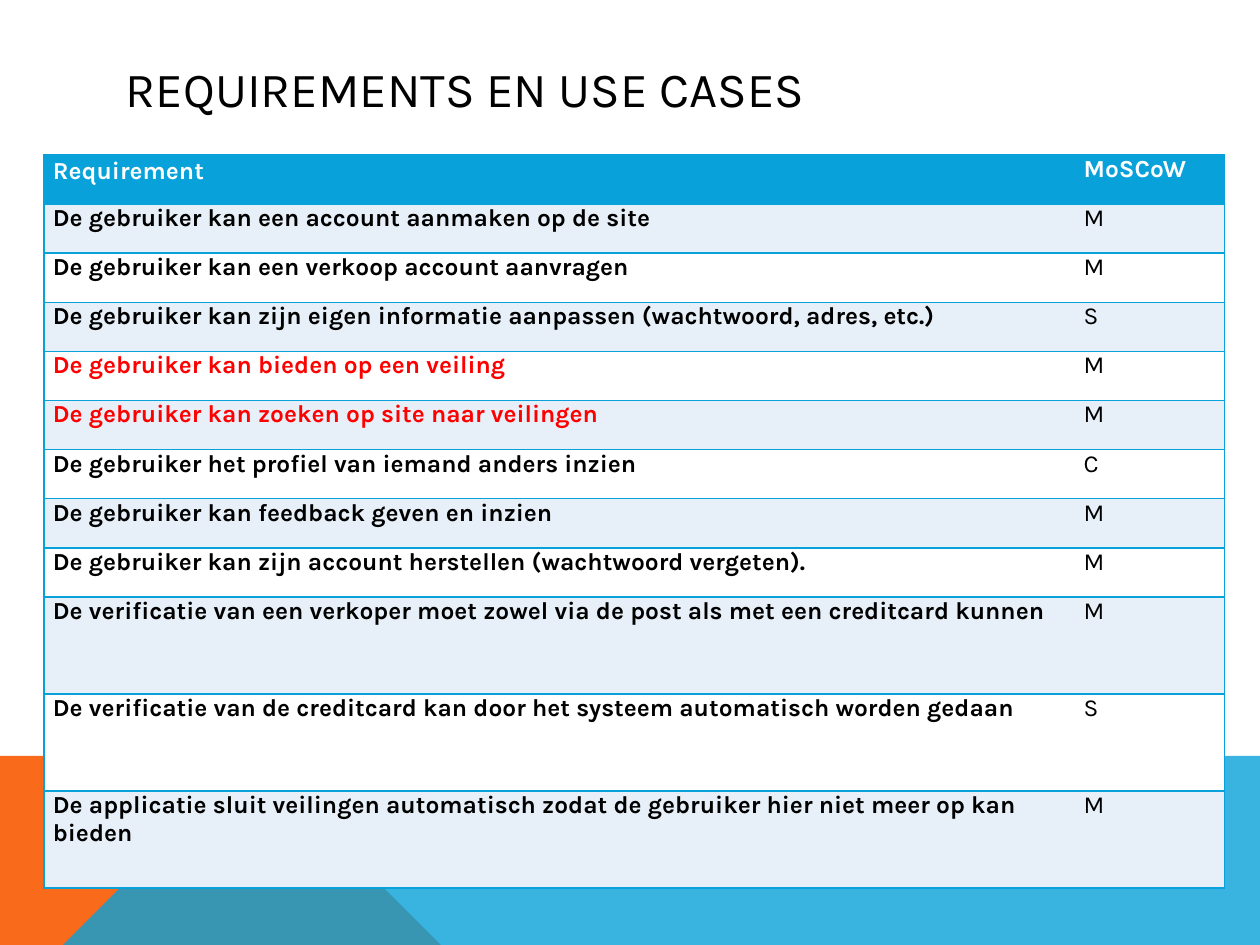
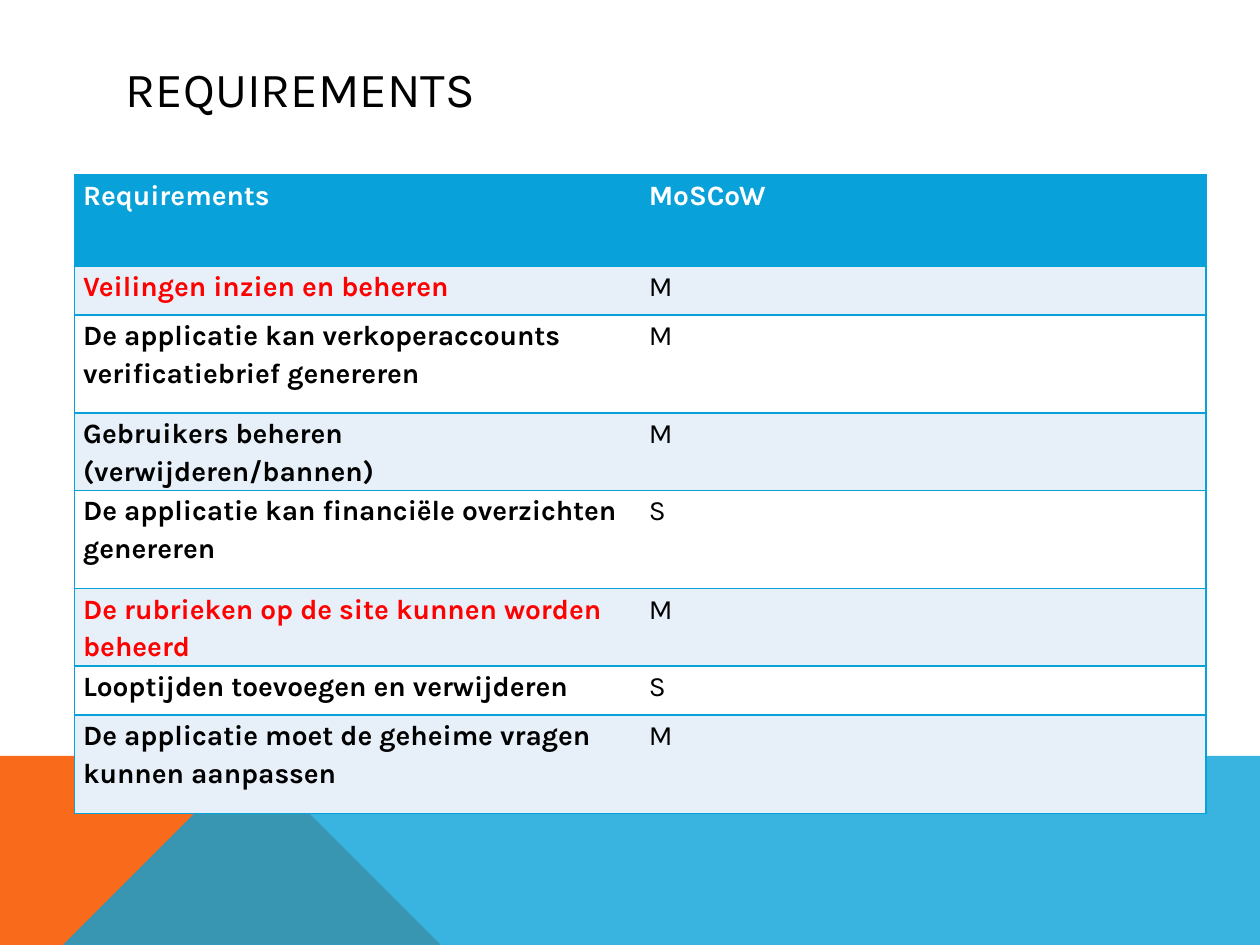
import pptx
import pptx.dml.color
import pptx.enum.text
import pptx.oxml
import pptx.oxml.ns
import pptx.util
from pptx.util import Inches

COLORS = {
    "blue": "08A1D9", "orange": "F96A1B", "pale": "E7F0F8",
    "white": "FFFFFF", "black": "000000", "red": "FF0000",
}
FONT = "Karla"

# Content: requirement, priority, text colour of the requirement
SLIDES = [
    {
        "title": "REQUIREMENTS EN USE CASES",
        "header": ("Requirement", "MoSCoW"),
        "rows": [
            ("De gebruiker kan een account aanmaken op de site", "M", "black"),
            ("De gebruiker kan een verkoop account aanvragen", "M", "black"),
            ("De gebruiker kan zijn eigen informatie aanpassen (wachtwoord, adres, etc.)", "S", "black"),
            ("De gebruiker kan bieden op een veiling", "M", "red"),
            ("De gebruiker kan zoeken op site naar veilingen", "M", "red"),
            ("De gebruiker het profiel van iemand anders inzien", "C", "black"),
            ("De gebruiker kan feedback geven en inzien", "M", "black"),
            ("De gebruiker kan zijn account herstellen (wachtwoord vergeten).", "M", "black"),
            ("De verificatie van een verkoper moet zowel via de post als met een creditcard kunnen", "M", "black"),
            ("De verificatie van de creditcard kan door het systeem automatisch worden gedaan", "S", "black"),
            ("De applicatie sluit veilingen automatisch zodat de gebruiker hier niet meer op kan bieden", "M", "black"),
        ],
        "corner": (0.35, 1.23),
        "widths": [8.18, 1.19],
        "heights": [0.39] * 9 + [0.77] * 3,
        "text": {"size": 14},
        "first_cell": {"spacing": 1.07, "after": 8},
    },
    {
        "title": "REQUIREMENTS",
        "header": ("Requirements", "MoSCoW"),
        "rows": [
            ("Veilingen inzien en beheren", "M", "red"),
            ("De applicatie kan verkoperaccounts verificatiebrief genereren", "M", "black"),
            ("Gebruikers beheren (verwijderen/bannen)", "M", "black"),
            ("De applicatie kan financiële overzichten genereren", "S", "black"),
            ("De rubrieken op de site kunnen worden beheerd", "M", "red"),
            ("Looptijden toevoegen en verwijderen", "S", "black"),
            ("De applicatie moet de geheime vragen kunnen aanpassen", "M", "black"),
        ],
        "corner": (0.59, 1.39),
        "widths": [4.49, 4.49],
        "heights": [0.72, 0.39, 0.78, 0.6, 0.78, 0.6, 0.39, 0.78],
        "text": {"size": 16, "spacing": 1.15},
        "first_cell": {},
    },
]

# Footer bands: outline points, colour, opacity in percent
BANDS = [
    ([(0, 7.5), (0, 5.52), (2.23, 5.52), (3.91, 7.5)], "orange", 100),
    ([(0, 7.5), (2.23, 5.52), (10, 5.53), (10, 7.5)], "blue", 80),
]


def rgb(name):
    return pptx.dml.color.RGBColor.from_string(COLORS[name])


def write(frame, text, size=14, color="black", bold=False, spacing=1.0, after=0):
    para = frame.paragraphs[0]
    para.line_spacing = spacing
    para.space_after = pptx.util.Pt(after)
    span = para.add_run()
    span.text = text
    span.font.name = FONT
    span.font.size = pptx.util.Pt(size)
    span.font.bold = bold
    span.font.color.rgb = rgb(color)


def add_bands(page):
    for points, color, opacity in BANDS:
        builder = page.shapes.build_freeform(*points[0], scale=Inches(1))
        builder.add_line_segments(points[1:], close=True)
        band = builder.convert_to_shape()
        band.shadow.inherit = False
        band.fill.solid()
        band.fill.fore_color.rgb = rgb(color)
        band.line.fill.background()
        if opacity < 100:
            shade = band.fill._xPr.find(".//" + pptx.oxml.ns.qn("a:srgbClr"))
            alpha = shade.makeelement(pptx.oxml.ns.qn("a:alpha"), {"val": str(opacity * 1000)})
            shade.append(alpha)


def add_title(page, text):
    box = page.shapes.add_textbox(Inches(0.9), Inches(0.4), Inches(8.22), Inches(0.6))
    box.text_frame.word_wrap = True
    box.text_frame.vertical_anchor = pptx.enum.text.MSO_ANCHOR.MIDDLE
    write(box.text_frame, text, size=28)


def set_borders(cell, visible):
    """Draw the visible sides in blue; must run before the cell's fill is set."""
    properties = cell._tc.get_or_add_tcPr()
    for side in "LRTB":
        paint = "<a:noFill/>"
        if side in visible:
            paint = f'<a:solidFill><a:srgbClr val="{COLORS["blue"]}"/></a:solidFill>'
        properties.append(pptx.oxml.parse_xml(
            f'<a:ln{side} {pptx.oxml.ns.nsdecls("a")} w="12700">{paint}</a:ln{side}>'))


def add_requirements(page, content):
    widths, heights = content["widths"], content["heights"]
    left, top = content["corner"]
    table = page.shapes.add_table(
        len(heights), len(widths), Inches(left), Inches(top),
        Inches(sum(widths)), Inches(sum(heights))).table
    table.first_row = table.horz_banding = False
    for column, width in zip(table.columns, widths):
        column.width = Inches(width)
    for row, height in zip(table.rows, heights):
        row.height = Inches(height)

    lines = [(*content["header"], "white")] + content["rows"]
    for row, (requirement, priority, color) in enumerate(lines):
        header = row == 0
        fill = "blue" if header else ("white", "pale")[row % 2]
        for column, text in enumerate((requirement, priority)):
            cell = table.cell(row, column)
            cell.margin_left = cell.margin_right = Inches(0.07)
            cell.margin_top = cell.margin_bottom = 0
            set_borders(cell, ("LTB", "RTB")[column])
            cell.fill.solid()
            cell.fill.fore_color.rgb = rgb(fill)
            style = dict(content["text"])
            if header and column == 0:
                style.update(content["first_cell"])
            write(cell.text_frame, text, bold=header or column == 0,
                  color=color if header or column == 0 else "black", **style)


def main():
    deck = pptx.Presentation()
    deck.slide_width, deck.slide_height = Inches(10), Inches(7.5)
    for content in SLIDES:
        page = deck.slides.add_slide(deck.slide_layouts[6])
        add_bands(page)
        add_title(page, content["title"])
        add_requirements(page, content)
    deck.save("out.pptx")


if __name__ == "__main__":
    main()
